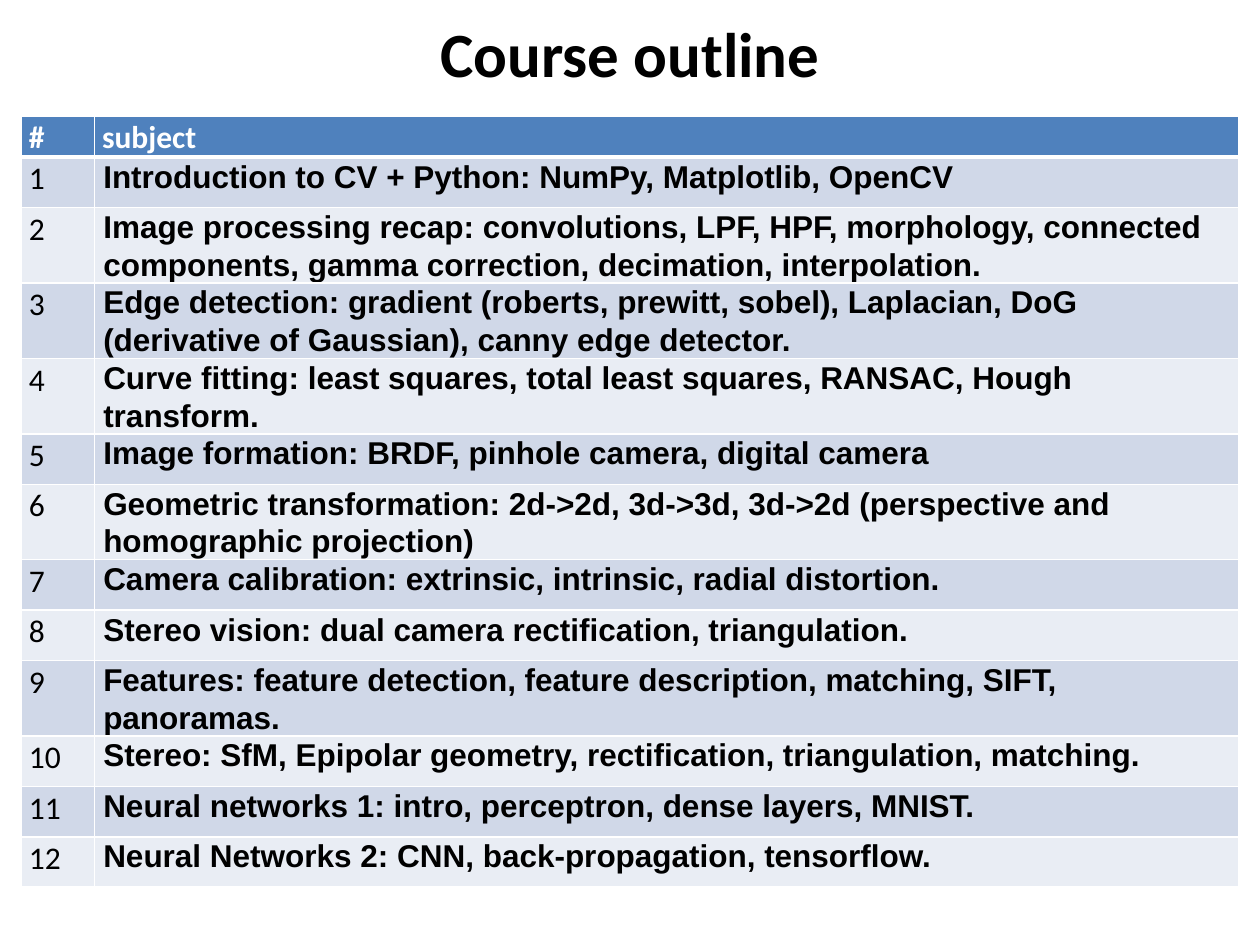
from lxml.etree import SubElement
from pptx import Presentation
from pptx.dml.color import RGBColor
from pptx.enum.text import MSO_ANCHOR, PP_ALIGN
from pptx.oxml.ns import qn
from pptx.util import Inches, Pt

BLACK = RGBColor(0x00, 0x00, 0x00)
WHITE = RGBColor(0xFF, 0xFF, 0xFF)
HEADER_BLUE = RGBColor(0x4F, 0x81, 0xBD)
BANDS = (RGBColor(0xD0, 0xD8, 0xE8), RGBColor(0xE9, 0xED, 0xF4))

SUBJECTS = (
    "Introduction to CV + Python: NumPy, Matplotlib, OpenCV",
    "Image processing recap: convolutions, LPF, HPF, morphology, connected "
    "components, gamma correction, decimation, interpolation.",
    "Edge detection: gradient (roberts, prewitt, sobel), Laplacian, DoG "
    "(derivative of Gaussian), canny edge detector.",
    "Curve fitting: least squares, total least squares, RANSAC, Hough transform.",
    "Image formation: BRDF, pinhole camera, digital camera",
    "Geometric transformation: 2d->2d, 3d->3d, 3d->2d (perspective and "
    "homographic projection)",
    "Camera calibration: extrinsic, intrinsic, radial distortion.",
    "Stereo vision: dual camera rectification, triangulation.",
    "Features: feature detection, feature description, matching, SIFT, panoramas.",
    "Stereo: SfM, Epipolar geometry, rectification, triangulation, matching.",
    "Neural networks 1: intro, perceptron, dense layers, MNIST.",
    "Neural Networks 2: CNN, back-propagation, tensorflow.",
)


def format_font(font, name, size, bold, color):
    """Set the typeface, size, weight and colour of a font."""
    font.name = name
    font.size = Pt(size)
    font.bold = bold
    font.color.rgb = color


def add_borders(cell, bottom_width):
    """Draw white lines on all four sides of a cell."""
    properties = cell._tc.get_or_add_tcPr()
    for side, width in (("L", 1), ("R", 1), ("T", 1), ("B", bottom_width)):
        line = SubElement(properties, qn(f"a:ln{side}"), w=str(Pt(width)))
        fill = SubElement(line, qn("a:solidFill"))
        SubElement(fill, qn("a:srgbClr"), val=str(WHITE))


def fill_cell(cell, text, fill, color, name="Calibri", bold=False, inset=0.06,
              bottom_width=1):
    """Write one table cell with its text, fill and borders."""
    cell.margin_left = cell.margin_right = Inches(inset)
    cell.margin_top = cell.margin_bottom = 0
    add_borders(cell, bottom_width)
    cell.fill.solid()
    cell.fill.fore_color.rgb = fill
    cell.text = text
    paragraph = cell.text_frame.paragraphs[0]
    paragraph.alignment = PP_ALIGN.LEFT
    paragraph.line_spacing = 1.07
    format_font(paragraph.font, name, 18, bold, color)


def place_title(slide, left, top, width, height):
    """Place the slide title in the given box."""
    title = slide.shapes.title
    title.left, title.top, title.width, title.height = left, top, width, height
    title.text_frame.text = "Course outline"
    title.text_frame.vertical_anchor = MSO_ANCHOR.MIDDLE
    paragraph = title.text_frame.paragraphs[0]
    paragraph.alignment = PP_ALIGN.CENTER
    format_font(paragraph.font, "Calibri", 36, True, BLACK)


def place_outline(slide, left, top, width, header_height, row_height):
    """Place the numbered table of subjects in the given box."""
    count = len(SUBJECTS)
    height = header_height + count * row_height
    table = slide.shapes.add_table(count + 1, 2, left, top, width, height).table
    number_width = Inches(0.58)
    table.columns[0].width = number_width
    table.columns[1].width = width - number_width
    table.rows[0].height = header_height
    for column, heading in enumerate(("#", "subject")):
        fill_cell(table.cell(0, column), heading, HEADER_BLUE, WHITE,
                  bold=True, bottom_width=3)
    for number, subject in enumerate(SUBJECTS, start=1):
        table.rows[number].height = row_height
        band = BANDS[(number - 1) % 2]
        fill_cell(table.cell(number, 0), str(number), band, BLACK)
        fill_cell(table.cell(number, 1), subject, band, BLACK,
                  name="Arial", bold=True, inset=0.07)


def main():
    """Build the course outline slide and save it."""
    presentation = Presentation()
    presentation.slide_width = Inches(10)
    presentation.slide_height = Inches(7.5)
    slide = presentation.slides.add_slide(presentation.slide_layouts[5])
    left, width = Inches(0.17), Inches(9.66)
    place_title(slide, left, 0, width, Inches(0.83))
    place_outline(slide, left, Inches(0.92), width, Inches(0.29), Inches(0.4))
    presentation.save("out.pptx")


if __name__ == "__main__":
    main()
